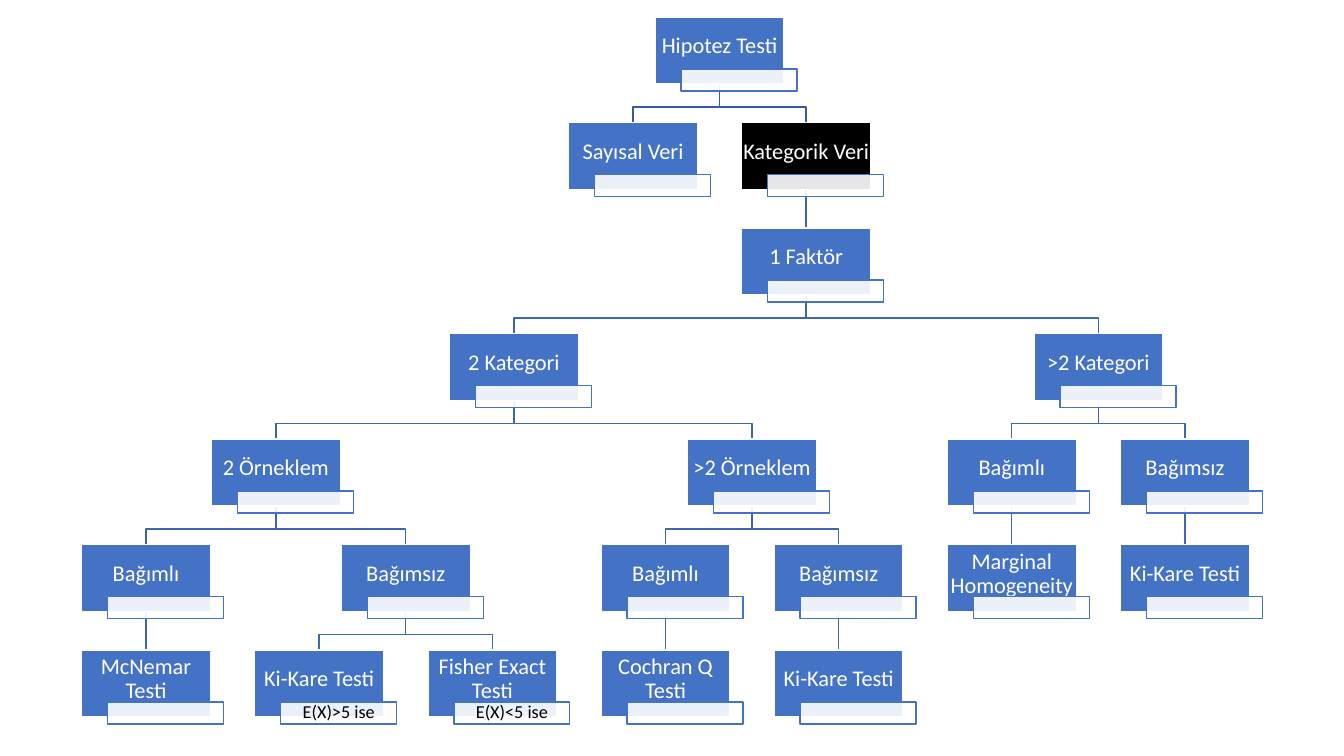
from itertools import count
from lxml.etree import SubElement
from pptx import Presentation
from pptx.dml.color import RGBColor
from pptx.enum.shapes import MSO_CONNECTOR, MSO_SHAPE
from pptx.enum.text import MSO_ANCHOR, PP_ALIGN
from pptx.oxml.ns import qn
from pptx.util import Pt

two = ("2 Örneklem", [
    ("Bağımlı", [("McNemar Testi", [])]),
    ("Bağımsız", [
        ("Ki-Kare Testi", [], "E(X)>5 ise"),
        ("Fisher Exact Testi", [], "E(X)<5 ise"),
    ]),
])
more = (">2 Örneklem", [
    ("Bağımlı", [("Cochran Q Testi", [])]),
    ("Bağımsız", [("Ki-Kare Testi", [])]),
])
many = (">2 Kategori", [
    ("Bağımlı", [("Marginal Homogeneity", [])]),
    ("Bağımsız", [("Ki-Kare Testi", [])]),
])
factor = ("1 Faktör", [("2 Kategori", [two, more]), many])
tree = ("Hipotez Testi", [("Sayısal Veri", []), ("Kategorik Veri", [factor])])

theme = {
    "font": "Calibri", "size": 16, "small": 13, "line": 1,
    "box": "4472C4", "focus": "000000", "white": "FFFFFF", "ink": "000000",
    "top": "365B9D", "link": "3E67B2",
}
unit = 914400 / 100.8
first, last, top, base = 146, 1185, 17, 650
step, pitch = (last - first) / 6, (base - top) / 6
wide, high, bend = 129, 67, 23
shift, drop, tagw, tagh = 26, 52, 116, 22


def px(size):
    return round(size * unit)


def tint(name):
    return RGBColor.from_string(theme[name])


def place(node, slot, row=0):
    kids = node[1]
    late = len(kids) > 1 and not kids[0][1] and bool(kids[1][1])
    subs = [place(kid, slot, row + 1) for kid in kids[late:]]
    if late:
        subs.insert(0, {"node": kids[0], "row": row + 1, "subs": [],
                        "mid": subs[0]["mid"] - step})
    mid = (subs[0]["mid"] + subs[-1]["mid"]) / 2 if subs else first + next(slot) * step
    return {"node": node, "row": row, "subs": subs, "mid": mid}


def walk(spot):
    yield spot
    for sub in spot["subs"]:
        yield from walk(sub)


def style(line, color):
    line.color.rgb = tint(color)
    line.width = Pt(theme["line"])


def join(spot, sub):
    start = top + spot["row"] * pitch + high
    end = top + sub["row"] * pitch
    a, b = px(spot["mid"]), px(sub["mid"])
    if a == b:
        link = shapes.add_connector(MSO_CONNECTOR.STRAIGHT, a, px(start), b, px(end))
        SubElement(link._element.spPr, qn("a:effectLst"))
    else:
        turn = px(start + bend)
        path = shapes.build_freeform(a, px(start))
        path.add_line_segments([(a, turn), (b, turn), (b, px(end))], close=False)
        link = path.convert_to_shape()
        link.fill.background()
        link.shadow.inherit = False
    style(link.line, "link" if spot["row"] else "top")


def block(left, y, width, height, fill, edge):
    rect = shapes.add_shape(MSO_SHAPE.RECTANGLE, px(left), px(y), px(width), px(height))
    rect.shadow.inherit = False
    rect.fill.solid()
    rect.fill.fore_color.rgb = tint(fill)
    style(rect.line, edge)
    return rect


def write(rect, text, size, color, foot):
    frame = rect.text_frame
    frame.word_wrap = True
    frame.vertical_anchor = MSO_ANCHOR.MIDDLE
    frame.margin_left = frame.margin_right = 0
    frame.margin_top, frame.margin_bottom = px(1), px(foot)
    para = frame.paragraphs[0]
    para.alignment = PP_ALIGN.CENTER
    para.line_spacing = 0.9
    run = para.add_run()
    run.text = text
    run.font.name = theme["font"]
    run.font.size = Pt(theme[size])
    run.font.color.rgb = tint(color)


def draw(spot):
    name, _, *note = spot["node"]
    left, y = spot["mid"] - wide / 2, top + spot["row"] * pitch
    fill = "focus" if name == "Kategorik Veri" else "box"
    write(block(left, y, wide, high, fill, "white"), name, "size", "white", 9)
    tag = block(left + shift, y + drop, tagw, tagh, "white", "box")
    color = tag._element.spPr.find(qn("a:solidFill"))[0]
    SubElement(color, qn("a:alpha"), val="90000")
    for text in note:
        write(tag, text, "small", "ink", 1)


deck = Presentation()
deck.slide_width, deck.slide_height = px(1344), px(756)
shapes = deck.slides.add_slide(deck.slide_layouts[6]).shapes
spots = list(walk(place(tree, count())))
for spot in spots:
    for sub in spot["subs"]:
        join(spot, sub)
for spot in spots:
    draw(spot)
deck.save("out.pptx")
